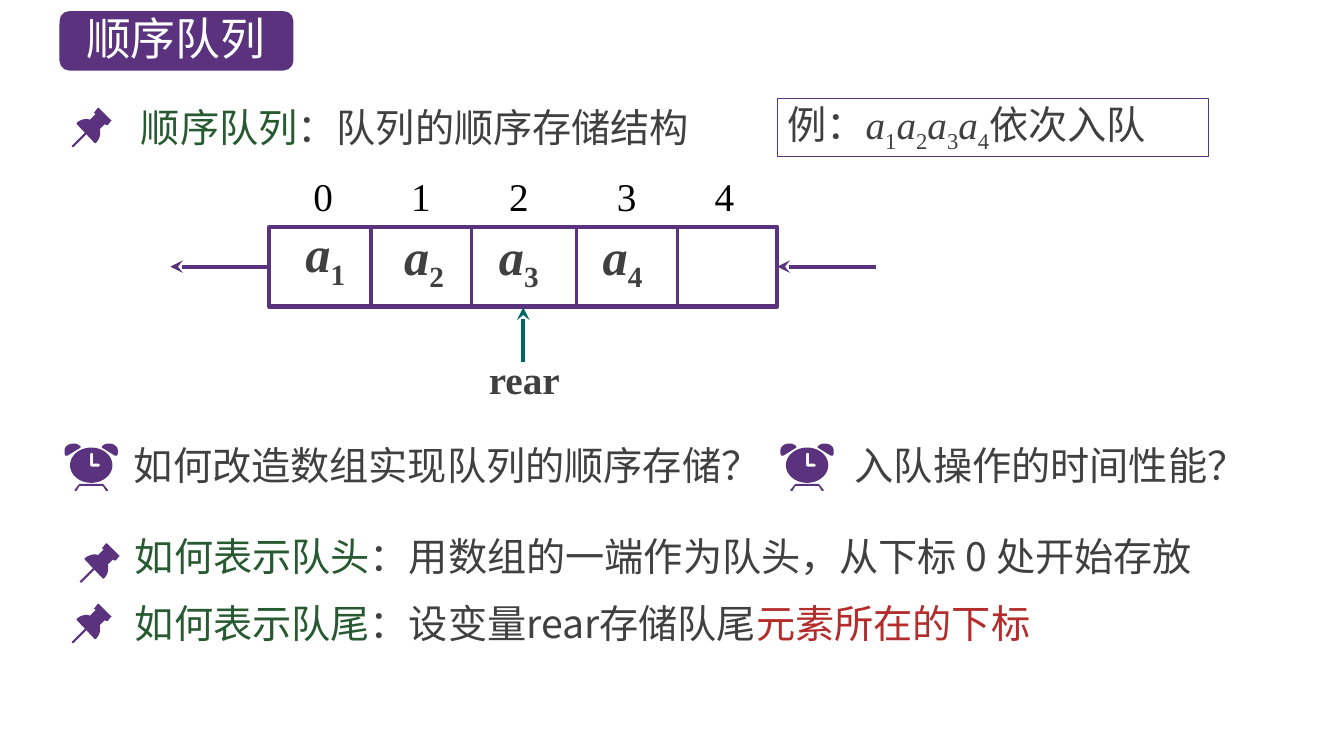
from dataclasses import dataclass
from itertools import accumulate
from math import cos, pi, sin

from lxml.etree import SubElement
from pptx import Presentation
from pptx.dml.color import RGBColor
from pptx.enum.shapes import MSO_CONNECTOR, MSO_SHAPE
from pptx.enum.text import MSO_ANCHOR, PP_ALIGN
from pptx.oxml.ns import qn
from pptx.util import Inches, Pt

CELL = Inches(0.1)  # side of one grid column or row; the slide is 133.3 by 75


class Theme:
    purple, green, red, teal = "5A327D", "285A32", "B42D2D", "006666"
    ink, black, white = "404040", "000000", "FFFFFF"
    sans, serif = "Noto Sans CJK SC", "Times New Roman"
    title, element, body = 32, 36, 28
    heavy, medium, thin = 3, 2.25, 0.75


@dataclass
class Box:
    left: float
    top: float
    width: float
    height: float

    def inner(self, column, row, width, height):
        return Box(self.left + column, self.top + row, width, height)

    def lengths(self):
        return [round(n * CELL) for n in (self.left, self.top, self.width, self.height)]


def color(code):
    return RGBColor.from_string(code)


# ---- Drawing tools ----
def write(frame, spans, size=Theme.body, face=Theme.sans, bold=None,
          align=PP_ALIGN.LEFT, tabs=()):
    """Fill a frame with spans of (text, colour, style); style is "", "i" or "sub"."""
    frame.word_wrap = True
    frame.vertical_anchor = MSO_ANCHOR.MIDDLE
    para = frame.paragraphs[0]
    para.alignment = align
    if tabs:
        stops = SubElement(para._p.get_or_add_pPr(), qn("a:tabLst"))
        for stop in tabs:
            SubElement(stops, qn("a:tab"), pos=str(round(stop * CELL)), algn="l")
    para.font.size, para.font.name, para.font.bold = Pt(size), face, bold
    SubElement(para.font._element, qn("a:ea"), typeface=Theme.sans)
    for text, code, style in spans:
        span = para.add_run()
        span.text = text
        span.font.color.rgb = color(code)
        if style == "i":
            span.font.italic = True
        elif style == "sub":
            span.font._element.set("baseline", "-25000")


def add_text(page, box, spans, **style):
    write(page.shapes.add_textbox(*box.lengths()).text_frame, spans, **style)


def add_box(page, box, preset, fill=None, line=None, weight=Theme.thin):
    shape = page.shapes.add_shape(preset, *box.lengths())
    shape.shadow.inherit = False
    if fill:
        shape.fill.solid()
        shape.fill.fore_color.rgb = color(fill)
    else:
        shape.fill.background()
    if line:
        shape.line.color.rgb = color(line)
        shape.line.width = Pt(weight)
    else:
        shape.line.fill.background()
    return shape


def add_line(page, start, end, code=Theme.purple, weight=Theme.heavy, arrow=False):
    ends = [round(n * CELL) for n in (*start, *end)]
    line = page.shapes.add_connector(MSO_CONNECTOR.STRAIGHT, *ends)
    line.line.color.rgb = color(code)
    line.line.width = Pt(weight)
    if arrow:
        SubElement(line.line._get_or_add_ln(), qn("a:tailEnd"), type="stealth")
    SubElement(line._element.spPr, qn("a:effectLst"))


def trace(steps):
    """Turn points (x, y) and cubic curves (x1, y1, x2, y2, x, y) into points."""
    points = [steps[0]]
    for step in steps[1:]:
        if len(step) == 2:
            points.append(step)
            continue
        knots = [points[-1], step[:2], step[2:4], step[4:]]
        for t in (n / 8 for n in range(1, 9)):
            weights = ((1 - t) ** 3, 3 * t * (1 - t) ** 2, 3 * t * t * (1 - t), t ** 3)
            points.append(tuple(sum(w * knot[axis] for w, knot in zip(weights, knots))
                                for axis in (0, 1)))
    return points


def add_outline(page, box, *contours):
    """Draw filled contours, given in tenths of a grid cell from the box corner."""
    fine = [[(x * 100, y * 100) for x, y in trace(steps)] for steps in contours]
    builder = page.shapes.build_freeform(*fine[0][0], scale=CELL / 1000)
    for index, points in enumerate(fine):
        if index:
            builder.move_to(*points[0])
        builder.add_line_segments(points[1:], close=True)
    shape = builder.convert_to_shape(*box.lengths()[:2])
    shape.shadow.inherit = False
    shape.fill.solid()
    shape.fill.fore_color.rgb = color(Theme.purple)
    shape.line.fill.background()


# ---- Icons ----
def add_pin(page, box):
    head = [(39, 12), (27, 0), (26, 0), (23, 4), (22, 5), (24, 6), (18, 12),
            (17, 11, 16, 11, 15, 11), (11, 11, 7, 13, 5, 15), (5, 16), (23, 35),
            (24, 35), (28, 31, 29, 26, 28, 21), (33, 16), (34, 17), (36, 17),
            (39, 13), (40, 13)]
    needle = [(2, 39), (1, 39), (0, 38), (1, 37), (14, 24), (15, 24), (16, 25), (15, 26)]
    for outline in (head, needle):
        add_outline(page, box, outline)


def add_clock(page, box):
    feet = [(43, 46), (39, 41), (38, 40), (15, 40), (14, 41), (10, 46), (10, 47),
            (12, 47), (15, 42), (38, 42), (41, 47), (43, 47)]
    bell = trace([(9, 0), (4, 0, 0, 3, 0, 7), (0, 9, 0, 11, 1, 12), (3, 12),
                  (16, 4), (16, 3), (14, 1, 12, 0, 9, 0)])
    face = [(26.5 + 21 * cos(n * pi / 24), 21.5 + 17.5 * sin(n * pi / 24))
            for n in range(48)]
    hands = [(34, 23), (27, 23), (25.5, 22), (25.5, 10), (27, 9), (28.5, 10),
             (28.5, 20), (34, 20), (35.5, 21.5)]
    for outline in (feet, bell, [(53 - x, y) for x, y in bell]):
        add_outline(page, box, outline)
    add_outline(page, box, face, hands)


# ---- Regions ----
def add_title(page, box, text):
    add_box(page, box, MSO_SHAPE.ROUNDED_RECTANGLE, fill=Theme.purple)
    add_text(page, box.inner(1.2, -0.6, 20.7, 6.4), [(text, Theme.white, "")],
             size=Theme.title, align=PP_ALIGN.CENTER)


def add_note(page, box, icon, icon_at, spans):
    icon(page, box.inner(*icon_at, 4, 4))
    add_text(page, box, spans)


def add_example(page, box):
    shape = add_box(page, box, MSO_SHAPE.RECTANGLE, line=Theme.purple)
    spans = [("例：", Theme.ink, "")]
    for number in "1234":
        spans += [("a", Theme.ink, "i"), (number, Theme.ink, "sub")]
    write(shape.text_frame, spans + [("依次入队", Theme.ink, "")], face=Theme.serif)


def add_queue(page, box):
    # Cells and their indices
    add_box(page, box, MSO_SHAPE.RECTANGLE, line=Theme.purple, weight=Theme.heavy)
    bottom = box.top + box.height
    for edge in accumulate((10.1, 10, 10.4, 10)):
        x = box.left + edge
        add_line(page, (x, box.top), (x, bottom), weight=Theme.medium)
    add_text(page, box.inner(3.4, -5.9, 46.5, 5.7), [("0\t1\t2\t3\t4", Theme.black, "")],
             face=Theme.serif, tabs=(9.7, 19.4, 30.1, 39.8))

    # Elements
    for number, place in enumerate([(2.6, -0.5), (12.4, -0.3), (21.8, -0.3), (32.1, -0.3)], 1):
        add_text(page, box.inner(*place, 6.4, 7),
                 [("a", Theme.ink, "i"), (str(number), Theme.ink, "sub")],
                 size=Theme.element, face=Theme.serif, bold=True)

    # Arrows out of the front, into the back, and up from the rear mark
    middle = box.top + box.height / 2
    for x in (box.left, box.left + box.width + 9.8):
        add_line(page, (x, middle), (x - 9.8, middle), arrow=True)
    rear = box.left + box.width / 2
    add_line(page, (rear, bottom + 5.5), (rear, bottom + 0.1), Theme.teal, arrow=True)
    add_text(page, box.inner(20.8, 12.2, 11.3, 5.7), [("rear", Theme.ink, "")],
             face=Theme.serif, bold=True)


def main():
    deck = Presentation()
    deck.slide_width, deck.slide_height = Inches(13.33), Inches(7.5)
    page = deck.slides.add_slide(deck.slide_layouts[6])

    add_title(page, Box(5.9, 1.1, 23.2, 5.9), "顺序队列")
    add_example(page, Box(77.1, 9.8, 42.8, 5.7))
    add_queue(page, Box(26.7, 22.5, 50.4, 7.9))

    notes = [
        (Box(13, 9.7, 59.2, 5.7), add_pin, (-5.9, 1),
         [("顺序队列", Theme.green, ""), ("：队列的顺序存储结构", Theme.ink, "")]),
        (Box(12.3, 43.3, 66, 5.7), add_clock, (-5.9, 0.7),
         [("如何改造数组实现队列的顺序存储？", Theme.ink, "")]),
        (Box(83.8, 43.3, 41.5, 5.7), add_clock, (-6.4, 0.7),
         [("入队操作的时间性能？", Theme.ink, "")]),
        (Box(12.4, 52.3, 113, 5.7), add_pin, (-4.5, 1.6),
         [("如何表示队头", Theme.green, ""),
          ("：用数组的一端作为队头，从下标 0 处开始存放", Theme.ink, "")]),
        (Box(12.4, 58.9, 101.6, 5.7), add_pin, (-5.3, 1),
         [("如何表示队尾", Theme.green, ""), ("：设变量rear存储队尾", Theme.ink, ""),
          ("元素所在的下标", Theme.red, "")]),
    ]
    for note in notes:
        add_note(page, *note)
    deck.save("out.pptx")


if __name__ == "__main__":
    main()
